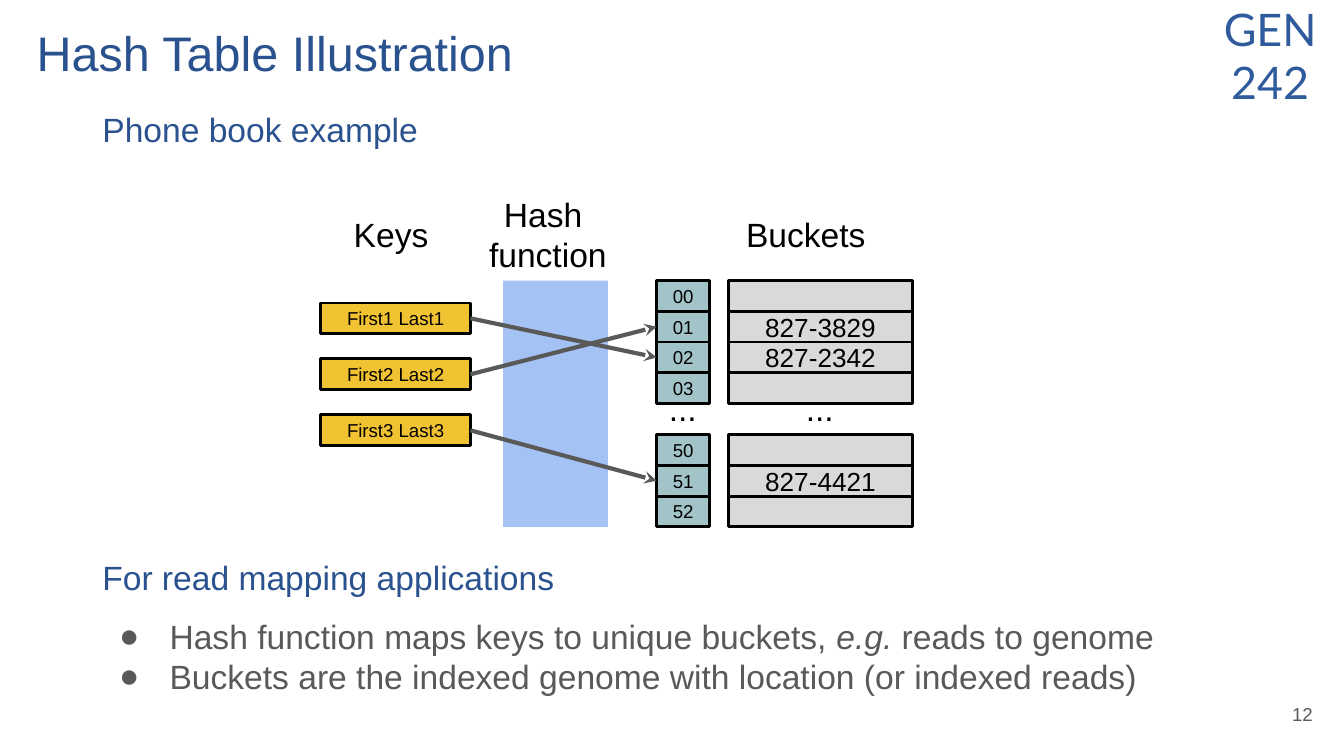
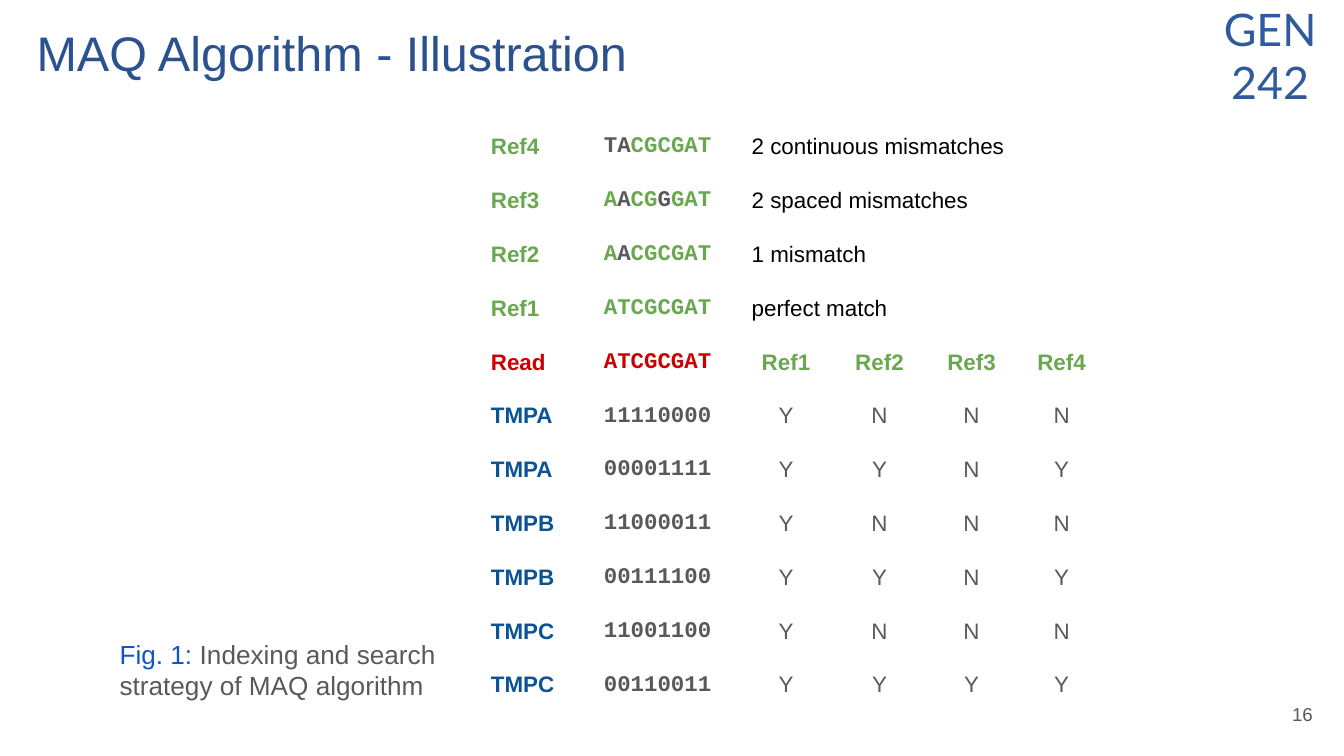
from itertools import groupby

from lxml.etree import SubElement
from pptx import Presentation
from pptx.dml.color import RGBColor
from pptx.enum.shapes import MSO_CONNECTOR, MSO_SHAPE
from pptx.enum.text import MSO_ANCHOR, PP_ALIGN
from pptx.oxml.ns import qn
from pptx.util import Pt

COLORS = {
    "title": "2A528F", "course": "2F5B9D", "body": "595959", "black": "000000",
    "band": "A4C2F4", "index": "A2C4C9", "bucket": "D9D9D9", "key": "F1C232",
    "ref": "6AA84F", "read": "CC0000", "template": "0B5394", "figure": "1155CC",
}
LEFT, CENTER, RIGHT = PP_ALIGN.LEFT, PP_ALIGN.CENTER, PP_ALIGN.RIGHT
TOP, MIDDLE = MSO_ANCHOR.TOP, MSO_ANCHOR.MIDDLE
MARGINS = dict.fromkeys(
    ("margin_left", "margin_top", "margin_right", "margin_bottom"), Pt(7.2))
NO_TABLE_STYLE = "{2D5ABB26-0587-4C30-8999-92F81FD0307C}"


def rgb(name):
    return RGBColor.from_string(COLORS[name])


def apply(target, values):
    for name, value in values.items():
        setattr(target, name, value)


class Deck:
    """Shared style and the slide being built."""

    def __init__(self):
        self.prs = Presentation()
        apply(self.prs, {"slide_width": Pt(720), "slide_height": Pt(405)})
        self.s = None

    def slide(self, title, number):
        self.s = self.prs.slides.add_slide(self.prs.slide_layouts[6])
        self.text(["GEN", "242"], 635, -6.5, 91, 70.5, size=24, color="course",
                  font="Lato", align=CENTER)
        self.text([title], 12.5, 5, 671, 45.4, size=26, color="title")
        self.text([number], 667.2, 367.2, 43.2, 31, size=10, align=RIGHT, anchor=MIDDLE)

    def fill_paragraph(self, p, runs, size=18, color="body", font="Arial",
                       bold=False, align=LEFT):
        """Runs are a string or a list of (text, colour, italic) tuples."""
        p.alignment = align
        if isinstance(runs, str):
            runs = [(runs, color, False)]
        for text, run_color, italic in runs:
            r = p.add_run()
            r.text = text
            apply(r.font, {"name": font, "size": Pt(size), "bold": bold, "italic": italic})
            r.font.color.rgb = rgb(run_color)

    def fill_frame(self, tf, paragraphs, anchor=TOP, **style):
        apply(tf, {"word_wrap": True, "vertical_anchor": anchor, **MARGINS})
        for i, runs in enumerate(paragraphs):
            p = tf.add_paragraph() if i else tf.paragraphs[0]
            self.fill_paragraph(p, runs, **style)

    def text(self, paragraphs, x, y, w, h, **style):
        sp = self.s.shapes.add_textbox(Pt(x), Pt(y), Pt(w), Pt(h))
        self.fill_frame(sp.text_frame, paragraphs, **style)
        return sp.text_frame

    def bullets(self, tf, items):
        for i, runs in enumerate(items):
            p = tf.add_paragraph()
            self.fill_paragraph(p, runs)
            p.space_before = Pt(0 if i else 10)
            pPr = p._p.get_or_add_pPr()
            pPr.set("marL", str(Pt(36)))
            pPr.set("indent", str(-Pt(27)))
            clr = SubElement(pPr, qn("a:buClr"))
            SubElement(clr, qn("a:srgbClr"), val=COLORS["body"])
            SubElement(pPr, qn("a:buFont"), typeface="Arial")
            SubElement(pPr, qn("a:buChar"), char="●")

    def box(self, x, y, w, h, fill, text="", size=10, line=True, group=None):
        shapes = (group or self.s).shapes
        sp = shapes.add_shape(MSO_SHAPE.RECTANGLE, Pt(x), Pt(y), Pt(w), Pt(h))
        sp.shadow.inherit = False
        sp.fill.solid()
        sp.fill.fore_color.rgb = rgb(fill)
        if line:
            sp.line.color.rgb = rgb("black")
            sp.line.width = Pt(1.5)
        else:
            sp.line.fill.background()
        if text:
            self.fill_frame(sp.text_frame, [text], anchor=MIDDLE, size=size,
                            color="black", align=CENTER)
        return sp

    def group(self):
        return self.s.shapes.add_group_shape()

    def arrow(self, start, end):
        """Join the right side of one box to the left side of another."""
        c = self.s.shapes.add_connector(MSO_CONNECTOR.STRAIGHT, 0, 0, 0, 0)
        c.begin_connect(start, 3)
        c.end_connect(end, 1)
        c.line.color.rgb = rgb("body")
        c.line.width = Pt(2.25)
        spPr = c.element.spPr
        SubElement(spPr.find(qn("a:ln")), qn("a:tailEnd"), type="stealth")
        SubElement(spPr, qn("a:effectLst"))

    def table(self, rows, x, y, widths, row_height):
        """Cells are (runs, style); a short row spans its last cell to the edge."""
        last = len(widths) - 1
        frame = self.s.shapes.add_table(len(rows), len(widths), Pt(x), Pt(y),
                                        Pt(sum(widths)), Pt(row_height * len(rows)))
        t = frame.table
        apply(t, {"first_row": False, "horz_banding": False})
        # Style borders would make the rows taller
        next(frame.element.iter(qn("a:tableStyleId"))).text = NO_TABLE_STYLE
        for column, width in zip(t.columns, widths):
            column.width = Pt(width)
        for i, row in enumerate(rows):
            t.rows[i].height = Pt(row_height)
            for j in range(len(widths)):
                t.cell(i, j).fill.background()
            if len(row) <= last:
                t.cell(i, len(row) - 1).merge(t.cell(i, last))
            for j, (runs, style) in enumerate(row):
                cell = t.cell(i, j)
                apply(cell, MARGINS)
                self.fill_paragraph(cell.text_frame.paragraphs[0], runs, size=12, **style)


def hash_table_slide(d):
    d.slide("Hash Table Illustration", "12")
    tf = d.text(["For read mapping applications"], 47.8, 291, 628.5, 36.7, color="title")
    d.bullets(tf, [
        [("Hash function maps keys to unique buckets, ", "body", False),
         ("e.g.", "body", True), (" reads to genome", "body", False)],
        "Buckets are the indexed genome with location (or indexed reads)",
    ])
    d.text(["Phone book example"], 47.8, 51, 628.5, 36.7, color="title")

    # Hash function band and column headings
    top, row = 150.3, 16.5
    d.box(269.5, top, 56.2, 8 * row, "band", line=False)
    for x, heading in ((130, ["Keys"]), (214, ["Hash ", "function"]),
                       (352.2, ["Buckets"])):
        d.text(heading, x, 107, 159, 36.7, color="black", align=CENTER, anchor=MIDDLE)

    # Index and bucket columns, with a gap after the fourth row
    buckets, indexes = d.group(), d.group()
    phones = {"01": "827-3829", "02": "827-2342", "51": "827-4421"}
    slots = {}
    for i, label in enumerate(["00", "01", "02", "03", None, "50", "51", "52"]):
        y = top + i * row
        if label:
            d.box(390.2, y, 98.8, row, "bucket", phones.get(label), 14, group=buckets)
            slots[label] = d.box(351.8, y, 28.4, row, "index", label, group=indexes)
        else:
            for x in (421.2, 347.8):
                d.text(["..."], x, y - 8, 36, 21, color="black", align=CENTER, anchor=MIDDLE)

    # Keys and the slots they hash to
    keys = [d.box(171.8, 162.3 + 30 * i, 80.2, row, "key", f"First{i + 1} Last{i + 1}")
            for i in range(3)]
    for key, slot in zip(keys, ("02", "01", "51")):
        d.arrow(key, slots[slot])


def maq_slide(d):
    d.slide("MAQ Algorithm - Illustration", "16")
    read = "ATCGCGAT"
    refs = {"Ref1": (read, "perfect match"), "Ref2": ("AACGCGAT", "1 mismatch"),
            "Ref3": ("AACGGGAT", "2 spaced mismatches"),
            "Ref4": ("TACGCGAT", "2 continuous mismatches")}
    templates = [("TMPA", "11110000"), ("TMPA", "00001111"), ("TMPB", "11000011"),
                 ("TMPB", "00111100"), ("TMPC", "11001100"), ("TMPC", "00110011")]

    def label(text, color, align=LEFT):
        return text, {"color": color, "bold": True, "align": align}

    def sequence(runs, color="body"):
        return runs, {"color": color, "bold": True, "align": CENTER, "font": "Courier New"}

    def marked(seq):
        """Bases that differ from the read turn grey."""
        pairs = groupby(zip(seq, read), key=lambda pair: pair[0] == pair[1])
        return [("".join(base for base, _ in run), "ref" if same else "body", False)
                for same, run in pairs]

    def hit(mask, seq):
        """Y if the reference equals the read wherever the template has a 1."""
        same = all(a == b for m, a, b in zip(mask, seq, read) if m == "1")
        return "Y" if same else "N", {"align": CENTER}

    # References, read, then one row per template
    rows = [[label(name, "ref"), sequence(marked(seq)), (note, {"color": "black"})]
            for name, (seq, note) in reversed(refs.items())]
    rows.append([label("Read", "read"), sequence(read, "read")]
                + [label(name, "ref", CENTER) for name in refs])
    rows += [[label(name, "template"), sequence(mask)]
             + [hit(mask, seq) for seq, _ in refs.values()] for name, mask in templates]
    d.table(rows, 255.8, 64.8, [53.3, 86.4, 51.2, 49, 49.6, 47], 26)

    # Caption
    d.text([[("Fig. 1: ", "figure", False),
             ("Indexing and search strategy of MAQ algorithm", "body", False)]],
           57, 334.6, 211, 36.7, size=14)


def main():
    d = Deck()
    hash_table_slide(d)
    maq_slide(d)
    d.prs.save("out.pptx")


if __name__ == "__main__":
    main()
